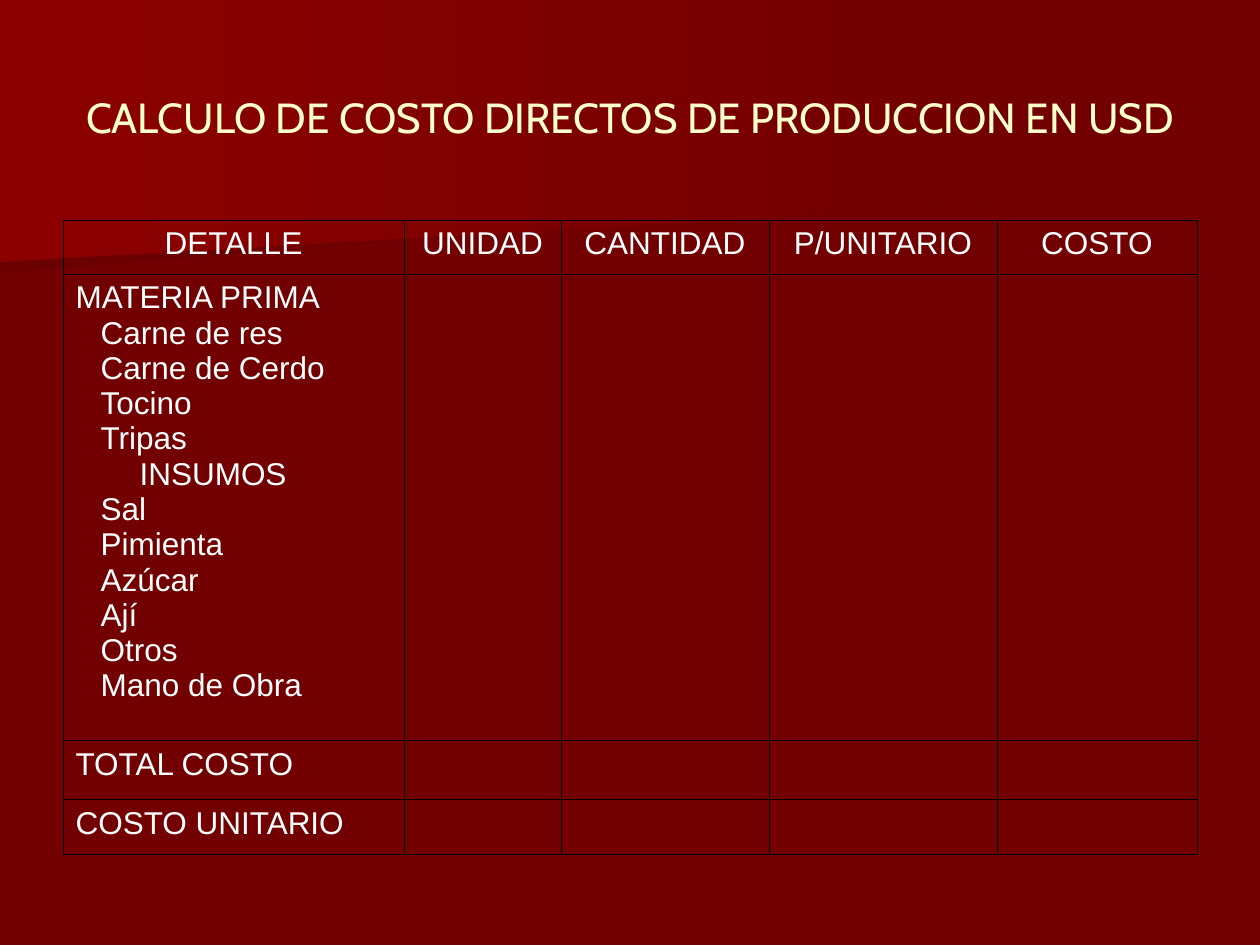
from dataclasses import dataclass

from lxml.etree import SubElement
from pptx import Presentation
from pptx.dml.color import RGBColor
from pptx.enum.text import MSO_ANCHOR, PP_ALIGN
from pptx.oxml.ns import qn
from pptx.util import Pt

SCALE = 914400 / 126


@dataclass(frozen=True)
class Theme:
    background: str = "720000"
    glow: str = "8C0000"
    shade: str = "6A0000"
    heading: str = "FFFFCC"
    body: str = "FFFFFF"
    border: str = "000000"
    heading_font: str = "Cabin"
    body_font: str = "Arial"
    heading_size: int = 24
    body_size: int = 18
    border_width: float = 0.45


THEME = Theme()

COLUMN_WIDTHS = [341, 157, 208, 228, 200]
ROW_HEIGHTS = [54, 466, 59, 55]
HEADERS = ["DETALLE", "UNIDAD", "CANTIDAD", "P/UNITARIO", "COSTO"]
MATERIALS = ["Carne de res", "Carne de Cerdo", "Tocino", "Tripas"]
SUPPLIES = ["Sal", "Pimienta", "Azúcar", "Ají", "Otros", "Mano de Obra"]
TOTALS = ["TOTAL COSTO", "COSTO UNITARIO"]


def px(length):
    return round(length * SCALE)


def color(code):
    return RGBColor.from_string(code)


def style_runs(paragraph, font_name, size, code):
    for run in paragraph.runs:
        run.font.name = font_name
        run.font.size = Pt(size)
        run.font.bold = False
        run.font.color.rgb = color(code)


def indent(paragraph, margin, first_line):
    properties = paragraph._p.get_or_add_pPr()
    properties.set("marL", str(px(margin)))
    properties.set("indent", str(px(first_line)))


def add_band(slide, left, top, points, left_code, right_code):
    corners = [(left + x, top + y) for x, y in points]
    builder = slide.shapes.build_freeform(*corners[0], scale=SCALE)
    builder.add_line_segments(corners[1:], close=True)
    band = builder.convert_to_shape()
    band.shadow.inherit = False
    band.line.fill.background()
    band.fill.gradient()
    band.fill.gradient_angle = 0
    for stop, code in zip(band.fill.gradient_stops, (left_code, right_code)):
        stop.color.rgb = color(code)


def add_backdrop(slide, left, top):
    slide.background.fill.solid()
    slide.background.fill.fore_color.rgb = color(THEME.background)
    add_band(slide, left, top + 127,
             [(981, 66), (0, 146), (0, 0), (982, 0), (981, 34)],
             THEME.shade, THEME.background)
    add_band(slide, left, top, [(998, 204), (0, 262), (0, 0), (998, 0)],
             THEME.glow, THEME.background)


def add_heading(slide, left, top, width, height):
    heading = slide.shapes.add_textbox(px(left), px(top), px(width), px(height))
    frame = heading.text_frame
    frame.word_wrap = True
    frame.vertical_anchor = MSO_ANCHOR.MIDDLE
    frame.text = "CALCULO DE COSTO DIRECTOS DE PRODUCCION EN USD"
    frame.paragraphs[0].alignment = PP_ALIGN.CENTER
    style_runs(frame.paragraphs[0], THEME.heading_font, THEME.heading_size, THEME.heading)


def add_borders(cell):
    properties = cell._tc.get_or_add_tcPr()
    for side in ("lnL", "lnR", "lnT", "lnB"):
        line = SubElement(properties, qn(f"a:{side}"), w=str(Pt(THEME.border_width)))
        solid = SubElement(line, qn("a:solidFill"))
        SubElement(solid, qn("a:srgbClr"), val=THEME.border)


def fill_details(cell):
    entries = ["MATERIA PRIMA", *MATERIALS, "INSUMOS", *SUPPLIES]
    cell.text_frame.text = "\n".join(entries)
    for paragraph in cell.text_frame.paragraphs:
        if paragraph.text == "INSUMOS":
            indent(paragraph, 0, 64)
        elif paragraph.text != "MATERIA PRIMA":
            paragraph.level = 1
            indent(paragraph, 64, -39)


def add_cost_table(slide, left, top):
    table = slide.shapes.add_table(
        len(ROW_HEIGHTS), len(COLUMN_WIDTHS), px(left), px(top),
        px(sum(COLUMN_WIDTHS)), px(sum(ROW_HEIGHTS))).table
    table.first_row = False
    table.horz_banding = False
    for column, width in zip(table.columns, COLUMN_WIDTHS):
        column.width = px(width)
    for row, height in zip(table.rows, ROW_HEIGHTS):
        row.height = px(height)

    for index, header in enumerate(HEADERS):
        cell = table.cell(0, index)
        cell.text_frame.text = header
        cell.text_frame.paragraphs[0].alignment = PP_ALIGN.CENTER
        indent(cell.text_frame.paragraphs[0], 48, -48)
    fill_details(table.cell(1, 0))
    for index, total in enumerate(TOTALS, start=2):
        cell = table.cell(index, 0)
        cell.text_frame.text = total
        indent(cell.text_frame.paragraphs[0], 48, -48)

    for cell in table.iter_cells():
        add_borders(cell)
        cell.fill.background()
        for paragraph in cell.text_frame.paragraphs:
            style_runs(paragraph, THEME.body_font, THEME.body_size, THEME.body)


def main():
    presentation = Presentation()
    presentation.slide_width = px(1260)
    presentation.slide_height = px(945)
    slide = presentation.slides.add_slide(presentation.slide_layouts[6])
    add_backdrop(slide, 0, 0)
    add_heading(slide, 63, 38, 1134, 158)
    add_cost_table(slide, 63, 220)
    presentation.save("out.pptx")


if __name__ == "__main__":
    main()
